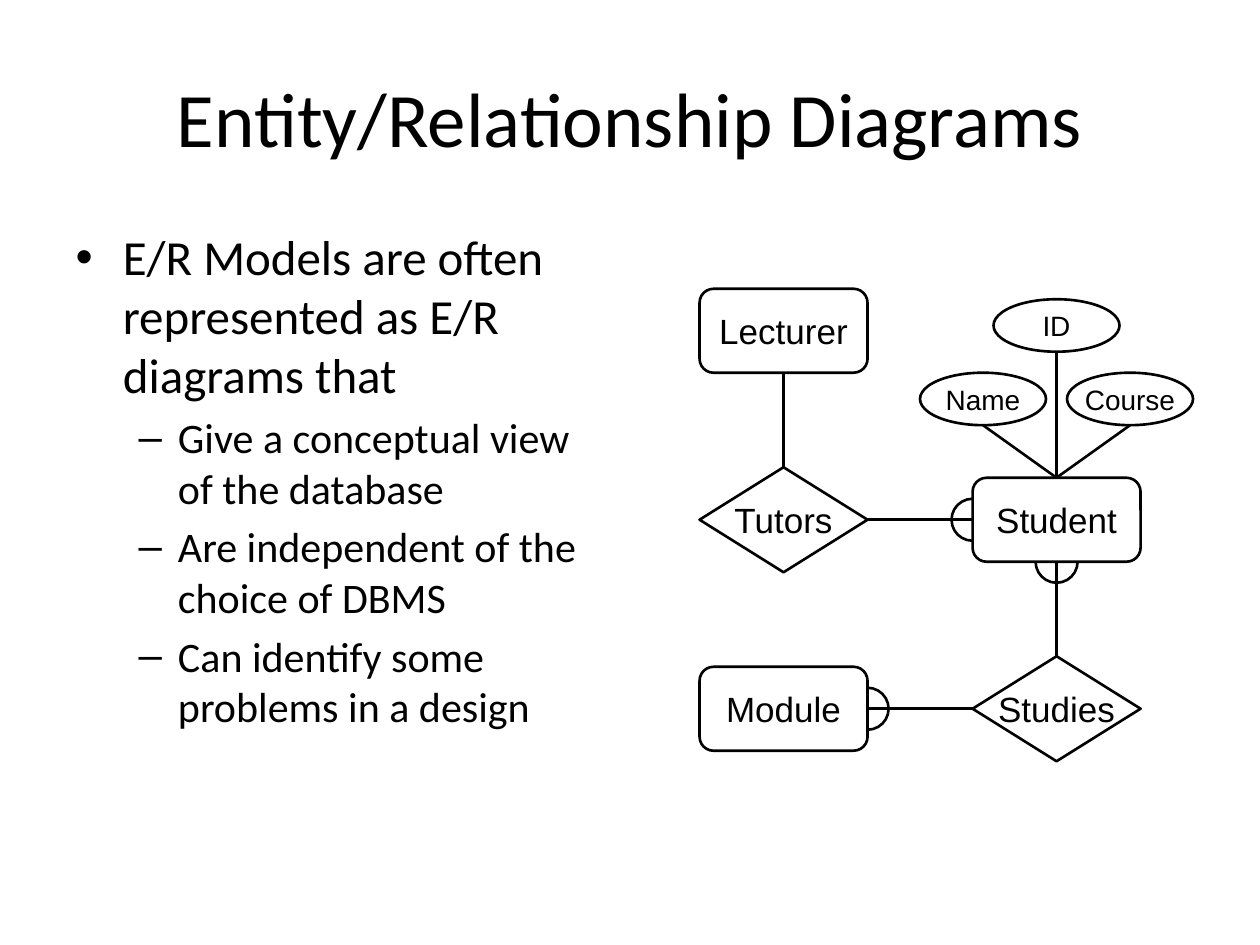
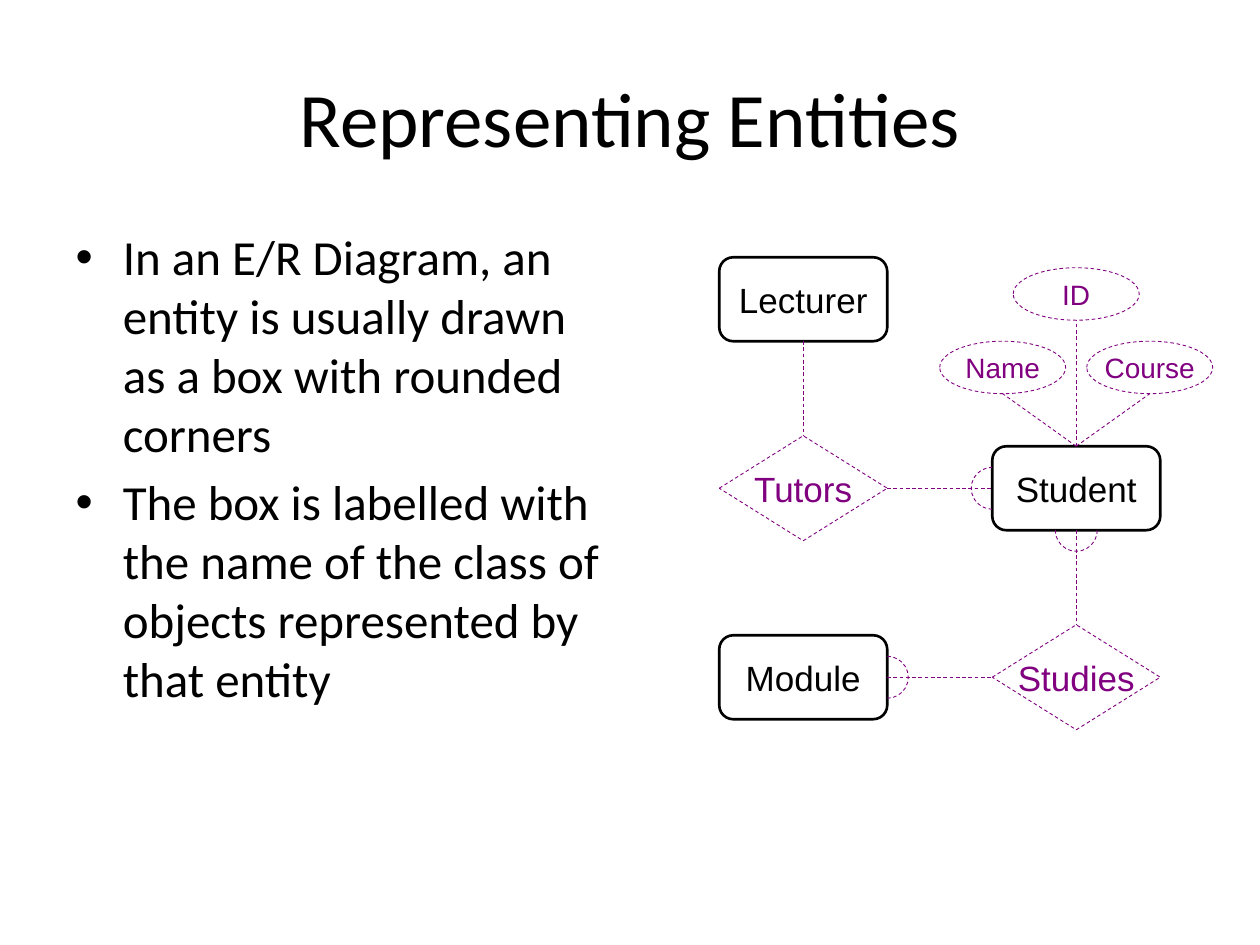
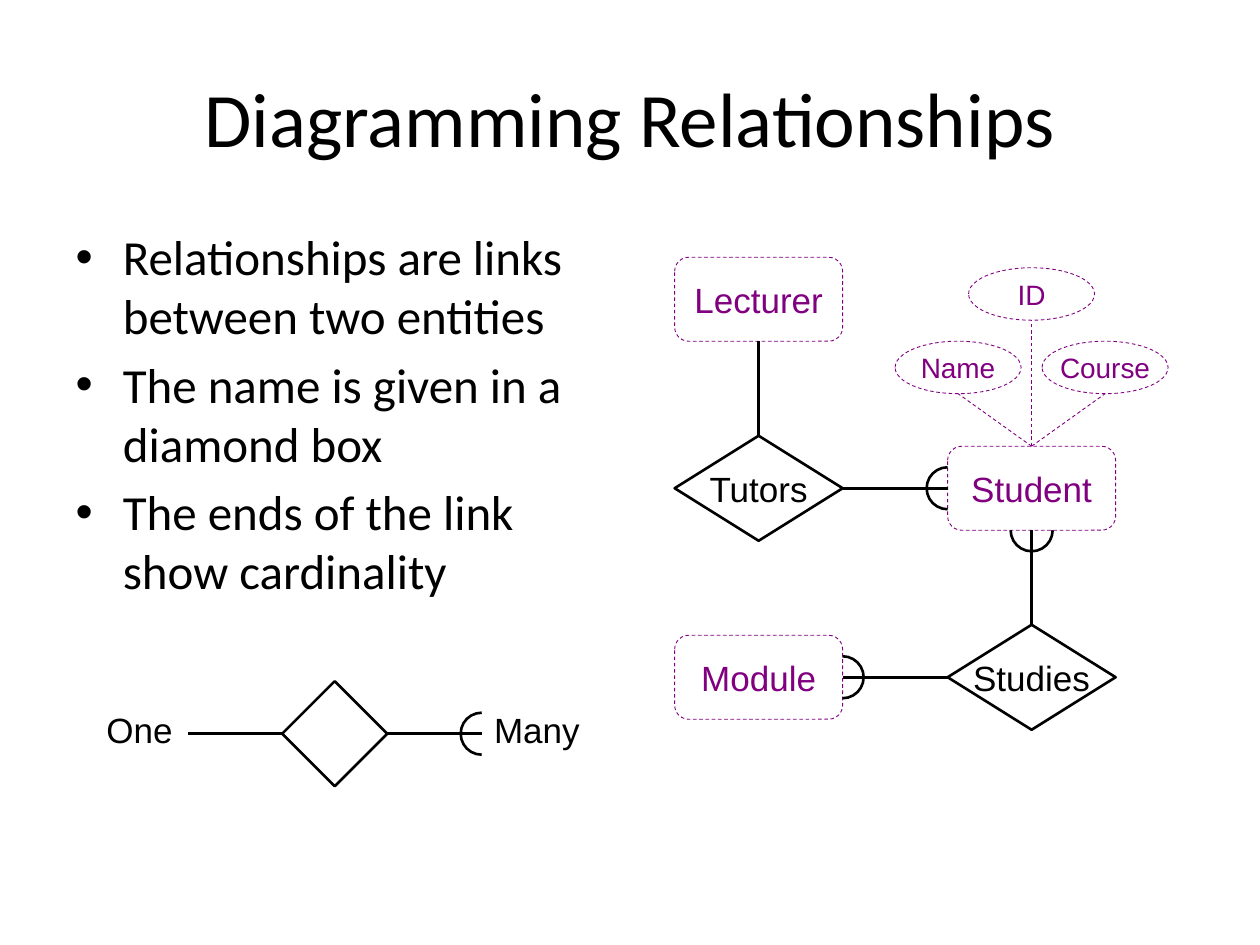
from lxml import etree
from pptx import Presentation
from pptx import util as u
from pptx.dml.color import RGBColor
from pptx.enum import dml, shapes, text
from pptx.oxml.ns import qn

EMU_PER_PX = 9525
COLORS = {"ink": "000000", "muted": "800080"}
# Line style: colour name, width in points, dash
STRONG = ("ink", 1.5, None)
FAINT = ("muted", 0.5, dml.MSO_LINE.DASH)

BODY_SIZES = [28, 24]
ENTITY = shapes.MSO_SHAPE.ROUNDED_RECTANGLE
RELATIONSHIP = shapes.MSO_SHAPE.DIAMOND
ATTRIBUTE = shapes.MSO_SHAPE.OVAL
# Width, height and text size of each kind of node
NODE_SIZES = {ENTITY: (128, 64, 20), RELATIONSHIP: (128, 80, 20), ATTRIBUTE: (96, 40, 16)}

# Centres relative to the top left corner of the diagram
LEFT, RIGHT = 64, 272
TOP, MIDDLE, BOTTOM = 32, 176, 320
NODES = {
    "Student": (ENTITY, RIGHT, MIDDLE),
    "Lecturer": (ENTITY, LEFT, TOP),
    "Module": (ENTITY, LEFT, BOTTOM),
    "Tutors": (RELATIONSHIP, LEFT, MIDDLE),
    "Studies": (RELATIONSHIP, RIGHT, BOTTOM),
    "ID": (ATTRIBUTE, RIGHT, 28),
    "Course": (ATTRIBUTE, RIGHT + 56, 84),
    "Name": (ATTRIBUTE, RIGHT - 56, 84),
}
SIDES = {"left": (-1, 0), "right": (1, 0), "top": (0, -1), "bottom": (0, 1)}
RELATIONSHIP_LINKS = [
    ("Lecturer", "bottom", "Tutors", "top"),
    ("Tutors", "right", "Student", "left"),
    ("Student", "bottom", "Studies", "top"),
    ("Module", "right", "Studies", "left"),
]
MANY_ENDS = [("Module", "right"), ("Student", "left"), ("Student", "bottom")]
# Clockwise start and end angle of the half circle on each side
ARC_ANGLES = {"left": (90, 270), "right": (270, 90), "bottom": (0, 180)}


def px(*lengths):
    return [u.Emu(length * EMU_PER_PX) for length in lengths]


def anchor(name, side):
    """Return the middle of one side of a node, relative to the diagram."""
    kind, x, y = NODES[name]
    width, height, _ = NODE_SIZES[kind]
    dx, dy = SIDES[side]
    return x + dx * width // 2, y + dy * height // 2


class Deck:
    def __init__(self):
        self.presentation = Presentation()
        self.presentation.slide_width, self.presentation.slide_height = px(960, 720)
        self.slide = None

    def format_runs(self, paragraph, size, font, color="ink"):
        for run in paragraph.runs:
            run.font.size = u.Pt(size)
            run.font.name = font
            run.font.color.rgb = RGBColor.from_string(COLORS[color])

    def format_line(self, line, style):
        color, width, dash = style
        line.color.rgb = RGBColor.from_string(COLORS[color])
        line.width = u.Pt(width)
        if dash:
            line.dash_style = dash

    def place(self, shape, *box):
        shape.left, shape.top, shape.width, shape.height = px(*box)

    def add_slide(self, title, items):
        """Start a slide; items are pairs of list level and wording."""
        self.slide = self.presentation.slides.add_slide(self.presentation.slide_layouts[1])
        heading, body = self.slide.placeholders
        self.place(heading, 48, 29, 864, 120)
        heading.text_frame.text = title
        self.format_runs(heading.text_frame.paragraphs[0], 44, "Calibri")

        self.place(body, 48, 168, 424, 475)
        body.text_frame.text = "\n".join(wording for _, wording in items)
        for paragraph, (level, _) in zip(body.text_frame.paragraphs, items):
            paragraph.level = level
            self.format_runs(paragraph, BODY_SIZES[level], "Calibri")

    def outline(self, kind, x, y, width, height, style):
        """Add an unfilled shape centred on x, y."""
        box = px(x - width // 2, y - height // 2, width, height)
        shape = self.slide.shapes.add_shape(kind, *box)
        shape.shadow.inherit = False
        shape.fill.background()
        self.format_line(shape.line, style)
        return shape

    def node(self, name, origin, style):
        kind, x, y = NODES[name]
        width, height, size = NODE_SIZES[kind]
        shape = self.outline(kind, origin[0] + x, origin[1] + y, width, height, style)
        frame = shape.text_frame
        frame.text = name
        frame.word_wrap = False
        frame.vertical_anchor = text.MSO_ANCHOR.MIDDLE
        frame.paragraphs[0].alignment = text.PP_ALIGN.CENTER
        self.format_runs(frame.paragraphs[0], size, "Arial", style[0])

    def link(self, start, end, style, origin=(0, 0)):
        (left, top), (x1, y1), (x2, y2) = origin, start, end
        connector = self.slide.shapes.add_connector(
            shapes.MSO_CONNECTOR.STRAIGHT, *px(left + x1, top + y1, left + x2, top + y2))
        self.format_line(connector.line, style)
        etree.SubElement(connector._element.spPr, qn("a:effectLst"))

    def many_end(self, x, y, side, style):
        """Add the half circle that marks the "many" end of a link."""
        arc = self.outline(shapes.MSO_SHAPE.ARC, x, y, 32, 32, style)
        for index, degrees in enumerate(ARC_ANGLES[side]):
            arc.adjustments[index] = degrees * 0.6  # 60000 units a degree, over 100000

    def label(self, wording, left, top, width, alignment):
        box = self.slide.shapes.add_textbox(*px(left, top, width, 41))
        frame = box.text_frame
        frame.text = wording
        frame.word_wrap = False
        frame.paragraphs[0].alignment = alignment
        self.format_runs(frame.paragraphs[0], 20, "Arial")

    def diagram(self, left, top, entities=FAINT, relationships=FAINT, attributes=FAINT):
        origin = (left, top)
        styles = {ENTITY: entities, RELATIONSHIP: relationships, ATTRIBUTE: attributes}
        for name, (kind, _, _) in NODES.items():
            self.node(name, origin, styles[kind])
        for first, first_side, second, second_side in RELATIONSHIP_LINKS:
            self.link(anchor(first, first_side), anchor(second, second_side),
                      relationships, origin)
        for name, side in MANY_ENDS:
            x, y = anchor(name, side)
            self.many_end(left + x, top + y, side, relationships)
        for name in ("Course", "ID", "Name"):
            self.link(anchor("Student", "top"), anchor(name, "bottom"), attributes, origin)

    def cardinality_key(self, x, y):
        """Show a one-to-many relationship centred on x, y."""
        self.outline(RELATIONSHIP, x, y, 80, 80, STRONG)
        for direction in (-1, 1):
            self.link((x + direction * 40, y), (x + direction * 112, y), STRONG)
        self.many_end(x + 112, y, "left", STRONG)
        self.label("Many", x + 112, y - 24, 92, text.PP_ALIGN.LEFT)
        self.label("One", x - 190, y - 24, 76, text.PP_ALIGN.RIGHT)


def main():
    deck = Deck()

    deck.add_slide("Entity/Relationship Diagrams", [
        (0, "E/R Models are often represented as E/R diagrams that"),
        (1, "Give a conceptual view of the database"),
        (1, "Are independent of the choice of DBMS"),
        (1, "Can identify some problems in a design"),
    ])
    deck.diagram(533, 220, entities=STRONG, relationships=STRONG, attributes=STRONG)

    deck.add_slide("Representing Entities", [
        (0, "In an E/R Diagram, an entity is usually drawn as a box with rounded corners"),
        (0, "The box is labelled with the name of the class of objects represented by "
            "that entity"),
    ])
    deck.diagram(548, 196, entities=STRONG)

    deck.add_slide("Diagramming Relationships", [
        (0, "Relationships are links between two entities"),
        (0, "The name is given in a diamond box"),
        (0, "The ends of the link show cardinality"),
    ])
    deck.cardinality_key(255, 559)
    deck.diagram(514, 196, relationships=STRONG)

    deck.presentation.save("out.pptx")


if __name__ == "__main__":
    main()
